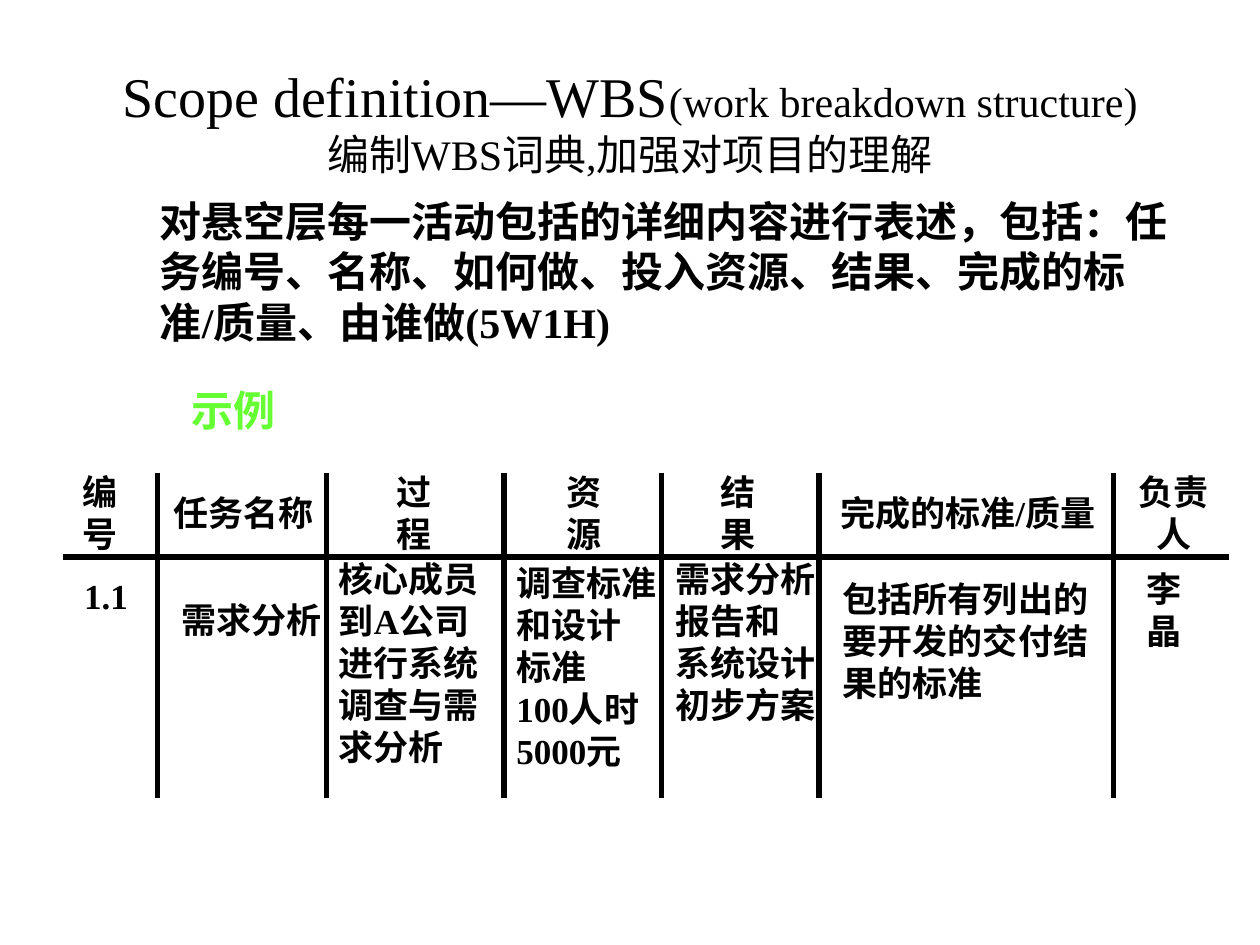
from lxml.etree import SubElement
from pptx import Presentation
from pptx.dml.color import RGBColor
from pptx.enum.shapes import MSO_CONNECTOR
from pptx.enum.text import MSO_ANCHOR, MSO_AUTO_SIZE, PP_ALIGN
from pptx.oxml.ns import qn
from pptx.util import Inches, Pt

THEME = {
    "font": "Times New Roman",
    "ink": RGBColor(0, 0, 0),
    "accent": RGBColor(0x66, 0xFF, 0x33),
    "title": 32, "body": 24, "cell": 20, "rule": 3,
}

TITLE = "Scope definition—WBS"
TITLE_NOTE = "(work breakdown structure)"
SUBTITLE = "编制WBS词典,加强对项目的理解"
INTRO = ("对悬空层每一活动包括的详细内容进行表述，包括：任务编号、名称、如何做、"
         "投入资源、结果、完成的标准/质量、由谁做(5W1H)")
EXAMPLE = "示例"

# text, left, width
HEADERS = [
    ("编号", 0.42, 0.75),
    ("任务名称", 1.28, 1.31),
    ("过程", 2.91, 0.75),
    ("资源", 4.26, 0.75),
    ("结果", 5.48, 0.75),
    ("完成的标准/质量", 6.5, 2.36),
    ("负责人", 8.8, 1.03),
]
# lines, left, top, width, wrap
ENTRIES = [
    (["1.1"], 0.57, 4.56, 0.55, False),
    (["需求分析"], 1.34, 4.75, 1.31, False),
    (["核心成员", "到A公司", "进行系统", "调查与需", "求分析"], 2.59, 4.42, 1.49, True),
    (["调查标准", "和设计", "标准", "100人时", "5000元"], 4, 4.45, 1.32, True),
    (["需求分析", "报告和", "系统设计", "初步方案"], 5.26, 4.42, 1.31, False),
    (["包括所有列出的", "要开发的交付结", "果的标准"], 6.59, 4.58, 2.15, False),
    (["李晶"], 9, 4.67, 0.75, False),
]
GRID_LEFT, GRID_RIGHT, GRID_TOP, GRID_BOTTOM = 0.5, 9.75, 3.75, 6.33
HEADER_RULE = 4.42
COLUMN_RULES = [1.25, 2.59, 4, 5.25, 6.5, 8.84]
HEADER_TOP, LINE_HEIGHT, CELL_PAD = 3.9, 0.335, 0.05


def style(run, size, bold=True, color="ink"):
    f = run.font
    f.name, f.size, f.bold = THEME["font"], Pt(size), bold
    f.color.rgb = THEME[color]


def add_text(s, lines, left, top, width, height, size, color="ink", wrap=True,
             align=PP_ALIGN.LEFT):
    tf = s.shapes.add_textbox(*map(Inches, (left, top, width, height))).text_frame
    tf.word_wrap = wrap
    tf.text = "\n".join(lines)
    for p in tf.paragraphs:
        p.alignment = align
        for r in p.runs:
            style(r, size, color=color)
    return tf


def add_cell(s, lines, left, top, width, wrap=False, align=PP_ALIGN.LEFT):
    height = len(lines) * LINE_HEIGHT + CELL_PAD
    tf = add_text(s, lines, left, top, width, height, THEME["cell"],
                  wrap=wrap, align=align)
    tf.margin_top = 0
    tf.vertical_anchor = MSO_ANCHOR.MIDDLE
    tf.auto_size = MSO_AUTO_SIZE.SHAPE_TO_FIT_TEXT


def add_rule(s, x1, y1, x2, y2):
    rule = s.shapes.add_connector(MSO_CONNECTOR.STRAIGHT,
                                  *map(Inches, (x1, y1, x2, y2)))
    rule.line.color.rgb = THEME["ink"]
    rule.line.width = Pt(THEME["rule"])
    SubElement(rule._element.spPr, qn("a:effectLst"))


def add_title(s):
    sp = s.shapes.title
    sp.left, sp.top, sp.width, sp.height = map(Inches, (0.75, 0.33, 8.5, 1.25))
    tf = sp.text_frame
    tf.auto_size = MSO_AUTO_SIZE.NONE
    tf.vertical_anchor = MSO_ANCHOR.MIDDLE
    p = tf.paragraphs[0]
    p.alignment = PP_ALIGN.CENTER
    for text, size in ((TITLE, "title"), (TITLE_NOTE, "body"), (SUBTITLE, "body")):
        if text == SUBTITLE:
            p.add_line_break()
        r = p.add_run()
        r.text = text
        style(r, THEME[size], bold=False)
    # The line break needs its own size, or it takes the layout's larger one.
    SubElement(p._p.find(qn("a:br")), qn("a:rPr"), sz=str(THEME["body"] * 100))


def main():
    prs = Presentation()
    prs.slide_width, prs.slide_height = Inches(10), Inches(7.5)
    s = prs.slides.add_slide(prs.slide_layouts[5])

    add_title(s)
    add_text(s, [INTRO], 1.17, 1.5, 8.5, 1.42, THEME["body"])
    add_text(s, [EXAMPLE], 1.42, 3, 1.42, 0.5, THEME["body"], color="accent")

    add_rule(s, GRID_LEFT, HEADER_RULE, GRID_RIGHT, HEADER_RULE)
    for x in COLUMN_RULES:
        add_rule(s, x, GRID_TOP, x, GRID_BOTTOM)

    for text, left, width in HEADERS:
        add_cell(s, [text], left, HEADER_TOP, width, align=PP_ALIGN.CENTER)
    for lines, left, top, width, wrap in ENTRIES:
        add_cell(s, lines, left, top, width, wrap)

    prs.save("out.pptx")


if __name__ == "__main__":
    main()
